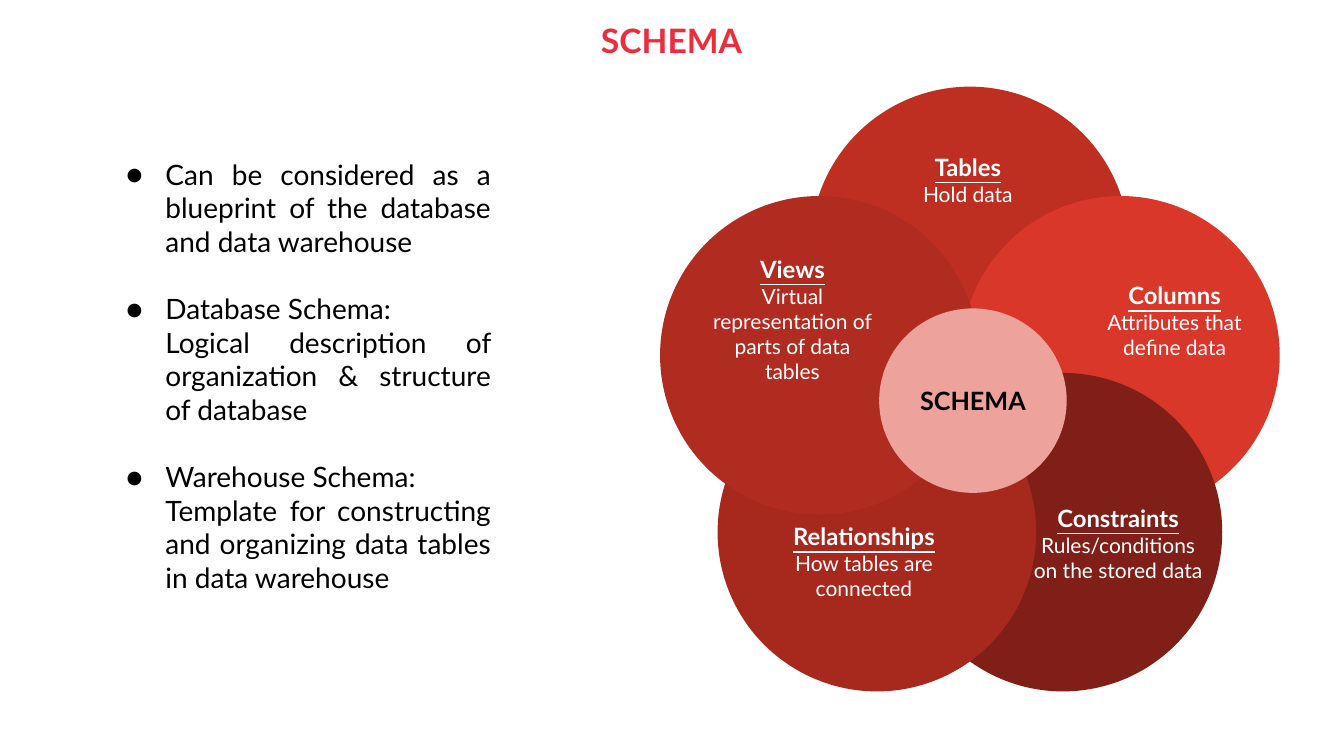
import math
from lxml import etree
from pptx import Presentation
from pptx.dml.color import RGBColor
from pptx.enum import shapes, text
from pptx.oxml import ns
from pptx.util import Inches, Pt

# Content
TITLE = "SCHEMA"
BULLETS = [
    ("Can be considered as a blueprint of the database and data warehouse", None),
    ("Database Schema:", "Logical description of organization & structure of database"),
    ("Warehouse Schema:",
     "Template for constructing and organizing data tables in data warehouse"),
]
# Petals clockwise from the top: heading, detail, fill, label left, label top
PETALS = [
    ("Tables", "Hold data", "BE2F22", 8.63, 1.3),
    ("Columns", "Attributes that define data", "D83729", 10.68, 2.7),
    ("Constraints", "Rules/conditions on the stored data", "801F17", 10.12, 4.91),
    ("Relationships", "How tables are connected", "A7291E", 7.6, 5.09),
    ("Views", "Virtual representation of parts of data tables", "B02B20", 6.89, 2.69),
]
HUB = "SCHEMA"

# Layout in inches
RING_X, RING_Y, RING_RADIUS = 9.62, 4.01, 1.57
PETAL_SIZE = 3.16
LABEL_WIDTH, LABEL_HEIGHT = 1.94, 0.96


def color(value):
    return RGBColor.from_string(value)


def format_text(paragraph, size, fill, align, bold=False, underline=False):
    paragraph.alignment = align
    for run in paragraph.runs:
        font = run.font
        font.name, font.size = "Lato", Pt(size)
        font.bold, font.underline = bold, underline
        font.color.rgb = color(fill)


def set_frame(frame, inset, anchor):
    frame.word_wrap = True
    frame.auto_size = text.MSO_AUTO_SIZE.NONE
    frame.vertical_anchor = anchor
    frame.margin_left = frame.margin_right = Inches(inset)
    frame.margin_top = frame.margin_bottom = Inches(inset)


def place(shape, left, top, width, height):
    shape.left, shape.top = Inches(left), Inches(top)
    shape.width, shape.height = Inches(width), Inches(height)


def add_circle(parent, left, top, width, height, fill):
    circle = parent.add_shape(shapes.MSO_SHAPE.OVAL, Inches(left), Inches(top),
                              Inches(width), Inches(height))
    circle.shadow.inherit = False
    circle.fill.solid()
    circle.fill.fore_color.rgb = color(fill)
    circle.line.fill.background()
    return circle


def set_bullet(paragraph, bulleted):
    properties = paragraph._p.get_or_add_pPr()
    properties.set("marL", str(Inches(0.5)))
    properties.set("indent", str(Inches(-0.39) if bulleted else 0))
    if bulleted:
        bullet_color = etree.SubElement(properties, ns.qn("a:buClr"))
        etree.SubElement(bullet_color, ns.qn("a:srgbClr"), val="000000")
        etree.SubElement(properties, ns.qn("a:buFont"), typeface="Lato")
        etree.SubElement(properties, ns.qn("a:buChar"), char="●")
    else:
        etree.SubElement(properties, ns.qn("a:buNone"))


def main():
    presentation = Presentation()
    presentation.slide_width, presentation.slide_height = Inches(13.33), Inches(7.5)
    slide = presentation.slides.add_slide(presentation.slide_layouts[1])
    center = text.PP_ALIGN.CENTER

    # Title
    title = slide.shapes.title
    place(title, 0.45, 0.1, 12.42, 0.83)
    set_frame(title.text_frame, 0.1, text.MSO_ANCHOR.TOP)
    title.text_frame.text = TITLE
    format_text(title.text_frame.paragraphs[0], 24, "EE2C3C", center, bold=True)

    # Bullet list
    body = slide.placeholders[1]
    place(body, 1.04, 1.46, 3.93, 4.58)
    frame = body.text_frame
    set_frame(frame, 0.1, text.MSO_ANCHOR.TOP)
    for index, (lead, detail) in enumerate(BULLETS):
        for line in filter(None, (lead, detail)):
            first = index == 0 and line == lead
            paragraph = frame.paragraphs[0] if first else frame.add_paragraph()
            paragraph.text = line
            set_bullet(paragraph, line == lead)
            paragraph.space_before = Pt(24 if line == lead and index else 0)
            format_text(paragraph, 20, "000000", text.PP_ALIGN.JUSTIFY)

    # Petals, evenly spaced around the ring
    for index, (heading, detail, fill, left, top) in enumerate(PETALS):
        angle = 2 * math.pi * index / len(PETALS)
        x = RING_X + RING_RADIUS * math.sin(angle) - PETAL_SIZE / 2
        y = RING_Y - RING_RADIUS * math.cos(angle) - PETAL_SIZE / 2
        group = slide.shapes.add_group_shape()
        add_circle(group.shapes, x, y, PETAL_SIZE, PETAL_SIZE, fill)
        label = group.shapes.add_textbox(Inches(left), Inches(top),
                                         Inches(LABEL_WIDTH), Inches(LABEL_HEIGHT))
        set_frame(label.text_frame, 0.13, text.MSO_ANCHOR.MIDDLE)
        label.text_frame.text = heading
        format_text(label.text_frame.paragraphs[0], 17, "FFFFFF", center, True, True)
        paragraph = label.text_frame.add_paragraph()
        paragraph.text = detail
        format_text(paragraph, 15, "FFFFFF", center)

    # Hub
    hub = add_circle(slide.shapes, 8.72, 3.06, 1.86, 1.83, "EDA29B")
    set_frame(hub.text_frame, 0.13, text.MSO_ANCHOR.MIDDLE)
    hub.text_frame.word_wrap = False
    hub.text_frame.text = HUB
    format_text(hub.text_frame.paragraphs[0], 18, "000000", center, bold=True)

    presentation.save("out.pptx")


if __name__ == "__main__":
    main()
